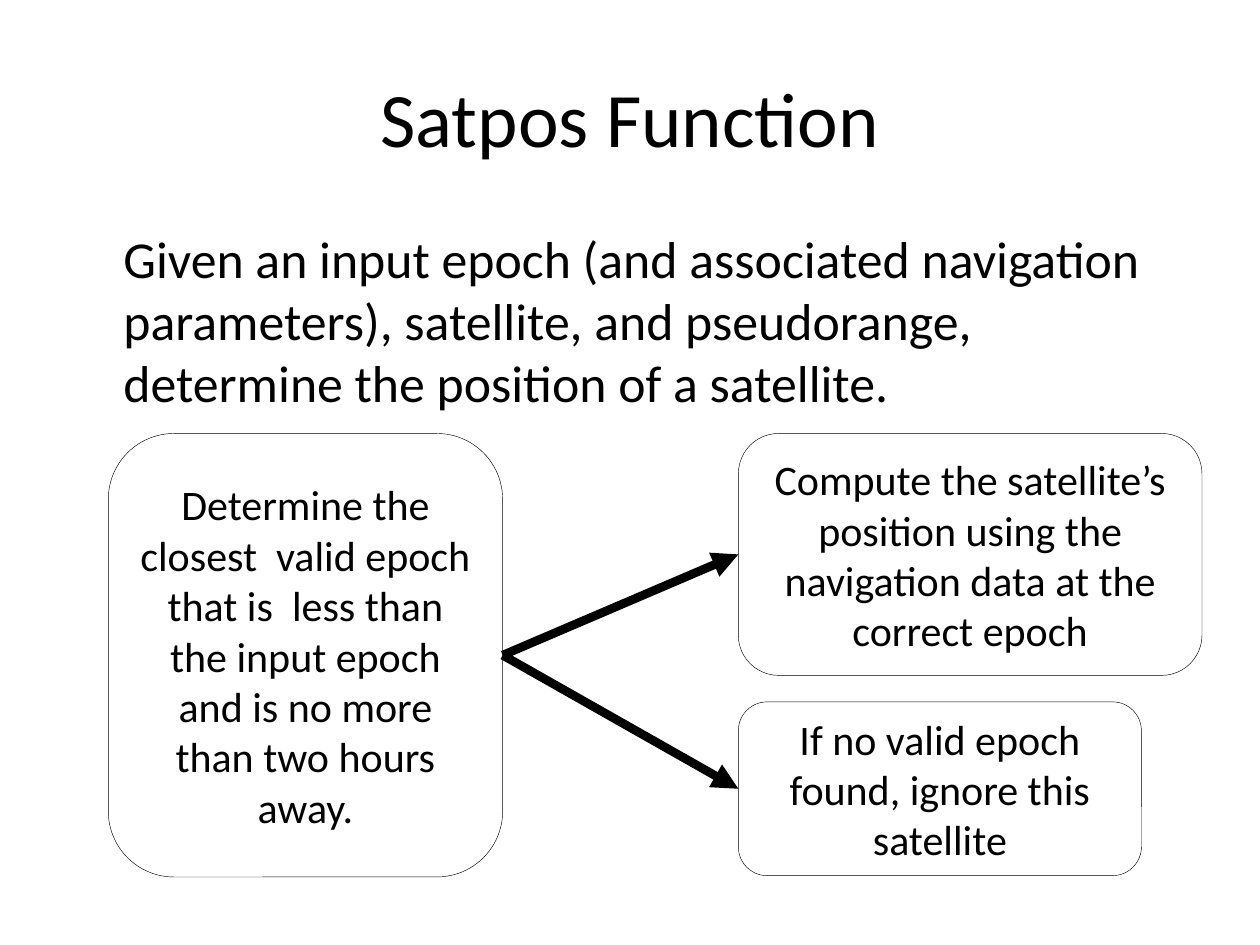
from lxml.etree import SubElement
from pptx import Presentation
from pptx.dml.color import RGBColor
from pptx.enum.shapes import MSO_CONNECTOR, MSO_SHAPE
from pptx.enum.text import MSO_ANCHOR, PP_ALIGN
from pptx.oxml.ns import qn
from pptx.util import Inches, Pt

COLORS = {"ink": "000000", "paper": "FFFFFF"}
FONT = "Calibri"
TITLE = "Satpos Function"
SUMMARY = (
    "Given an input epoch (and associated navigation parameters), "
    "satellite, and pseudorange, determine the position of a satellite."
)
STEPS = {
    "search": (
        "Determine the closest  valid epoch that is  less than the input "
        "epoch and is no more than two hours away.",
        (0.86, 3.44, 3.13, 3.52),
    ),
    "compute": (
        "Compute the satellite’s position using the navigation data "
        "at the correct epoch",
        (5.86, 3.44, 3.68, 1.92),
    ),
    "ignore": (
        "If no valid epoch found, ignore this satellite",
        (5.86, 5.57, 3.2, 1.38),
    ),
}
ARROWS = [("search", "compute"), ("search", "ignore")]
LEFT_SITE, RIGHT_SITE = 1, 3


def color(name):
    return RGBColor.from_string(COLORS[name])


def write(shape, text, size=24, align=PP_ALIGN.CENTER,
          anchor=MSO_ANCHOR.MIDDLE, margin_left=0.1, line_spacing=None):
    frame = shape.text_frame
    frame.word_wrap = True
    frame.vertical_anchor = anchor
    frame.margin_left = Inches(margin_left)
    para = frame.paragraphs[0]
    para.alignment = align
    para.line_spacing = line_spacing
    span = para.add_run()
    span.text = text
    span.font.name = FONT
    span.font.size = Pt(size)
    span.font.color.rgb = color("ink")


def add_step(page, text, bounds):
    box = page.shapes.add_shape(MSO_SHAPE.ROUNDED_RECTANGLE, *map(Inches, bounds))
    box.shadow.inherit = False
    box.fill.solid()
    box.fill.fore_color.rgb = color("paper")
    box.line.color.rgb = color("ink")
    box.line.width = Pt(0.25)
    write(box, text)
    return box


def add_arrow(page, source, target):
    arrow = page.shapes.add_connector(MSO_CONNECTOR.STRAIGHT, 0, 0, 0, 0)
    arrow.begin_connect(source, RIGHT_SITE)
    arrow.end_connect(target, LEFT_SITE)
    arrow.line.color.rgb = color("ink")
    arrow.line.width = Pt(5)
    SubElement(arrow.line._get_or_add_ln(), qn("a:tailEnd"), type="triangle")
    SubElement(arrow._element.spPr, qn("a:effectLst"))


def main():
    deck = Presentation()
    deck.slide_width, deck.slide_height = Inches(10), Inches(7.5)
    page = deck.slides.add_slide(deck.slide_layouts[6])

    title = page.shapes.add_textbox(*map(Inches, (0.5, 0.3, 9, 1.25)))
    write(title, TITLE, size=44)
    summary = page.shapes.add_textbox(*map(Inches, (0.5, 1.75, 9, 1.61)))
    write(summary, SUMMARY, size=29.6, align=PP_ALIGN.LEFT,
          anchor=MSO_ANCHOR.TOP, margin_left=0.48)

    boxes = {name: add_step(page, *step) for name, step in STEPS.items()}
    for source, target in ARROWS:
        add_arrow(page, boxes[source], boxes[target])

    deck.save("out.pptx")


if __name__ == "__main__":
    main()
